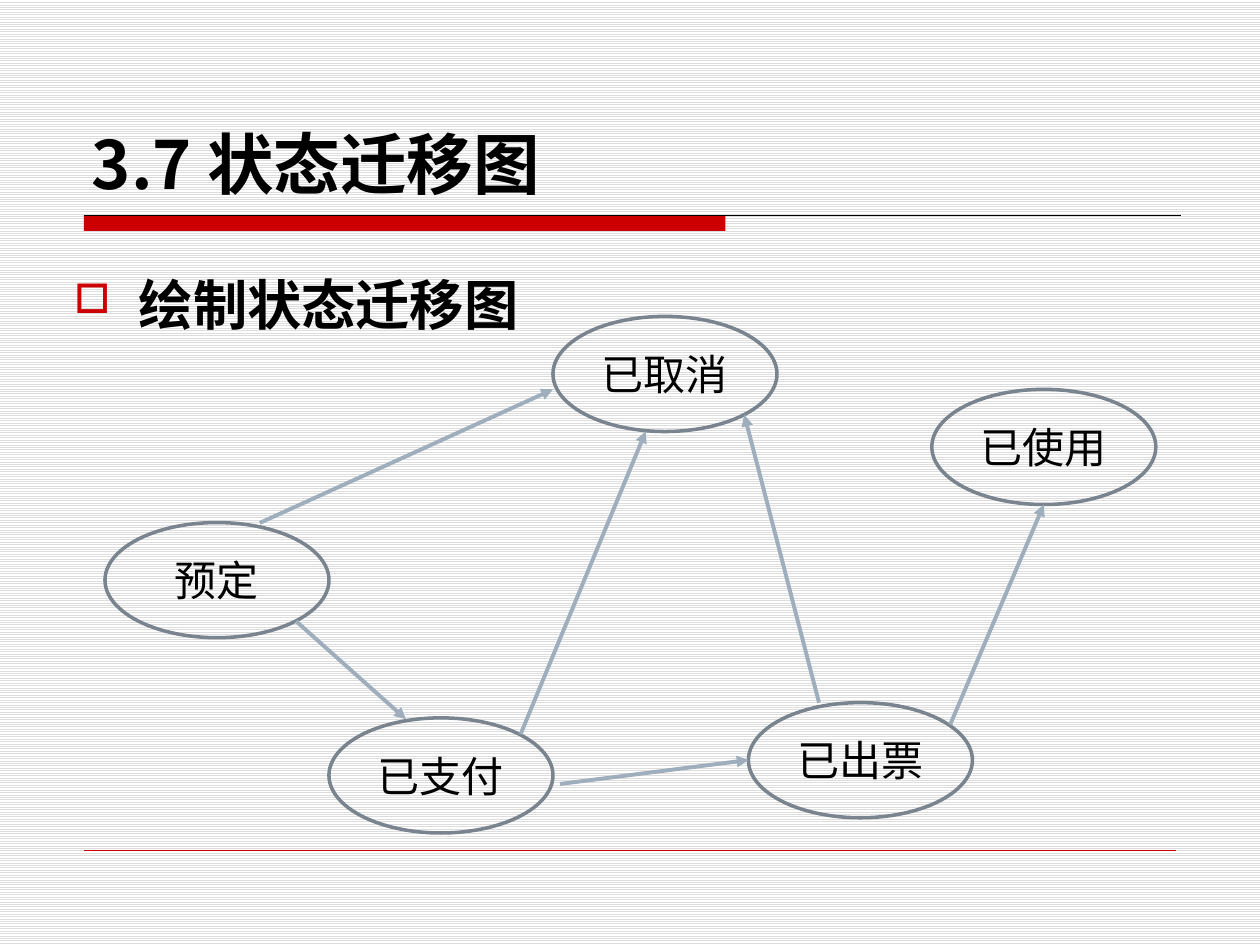
from lxml import etree
from pptx import Presentation
from pptx.dml.color import RGBColor
from pptx.enum.dml import MSO_PATTERN as Pattern
from pptx.enum.shapes import MSO_CONNECTOR as Conn, MSO_SHAPE as Kind
from pptx.enum.text import MSO_ANCHOR as Anchor, PP_ALIGN as Align
from pptx.oxml.ns import qn
from pptx.util import Pt

BLACK = RGBColor(0, 0, 0)
WHITE = RGBColor(255, 255, 255)
PALE = RGBColor(0xDD, 0xDD, 0xDD)
RED = RGBColor(0xCC, 0, 0)
GREY = RGBColor(0x79, 0x84, 0x8F)
BLUE = RGBColor(0x9F, 0xAE, 0xBD)
SANS = "DejaVu Sans"
NOTO = "Noto Sans CJK SC"


def write(shape, text, size, font=SANS, bold=False, align=Align.LEFT,
          anchor=Anchor.BOTTOM, bullet=None):
    frame = shape.text_frame
    frame.word_wrap = True
    frame.vertical_anchor = anchor
    para = frame.paragraphs[0]
    para.alignment = align
    if bullet:
        props = para._p.get_or_add_pPr()
        props.set("marL", str(Pt(37)))
        props.set("indent", str(-Pt(37)))
        tint = etree.SubElement(props, qn("a:buClr"))
        etree.SubElement(tint, qn("a:srgbClr")).set("val", str(RED))
        etree.SubElement(props, qn("a:buSzPct")).set("val", "75000")
        etree.SubElement(props, qn("a:buFont")).set("typeface", "Wingdings")
        etree.SubElement(props, qn("a:buChar")).set("char", bullet)
    run = para.add_run()
    run.text = text
    run.font.size = Pt(size)
    run.font.name = font
    run.font.bold = bold
    run.font.color.rgb = BLACK
    east = etree.SubElement(run._r.get_or_add_rPr(), qn("a:ea"))
    east.set("typeface", font)
    return run


def link(x1, y1, x2, y2, color, width, arrow=False):
    line = slide.shapes.add_connector(
        Conn.STRAIGHT, Pt(x1), Pt(y1), Pt(x2), Pt(y2))
    line.line.color.rgb = color
    line.line.width = Pt(width)
    if arrow:
        tail = etree.SubElement(line.line._get_or_add_ln(), qn("a:tailEnd"))
        tail.set("type", "triangle")
    etree.SubElement(line._element.spPr, qn("a:effectLst"))


deck = Presentation()
deck.slide_width, deck.slide_height = Pt(720), Pt(540)
slide = deck.slides.add_slide(deck.slide_layouts[6])

# Striped background
back = slide.background.fill
back.patterned()
back.pattern = Pattern.LIGHT_HORIZONTAL
back.fore_color.rgb = PALE
back.back_color.rgb = WHITE

# Title rule and footer rule
bar = slide.shapes.add_shape(Kind.RECTANGLE, Pt(48), Pt(123), Pt(366.5), Pt(9))
bar.shadow.inherit = False
bar.fill.solid()
bar.fill.fore_color.rgb = RED
bar.line.fill.background()
link(48, 123, 674.6, 123, BLACK, 0.75)
link(48, 486, 672, 486, RED, 0.25)

# Heading of the drawing
box = slide.shapes.add_textbox(Pt(35.3), Pt(136.8), Pt(278), Pt(59))
write(box, "绘制状态迁移图", 31, bold=True, bullet="o")

# States
states = [
    ("已支付", 188, 410.2),
    ("预定", 60, 298.6),
    ("已取消", 316, 180.8),
    ("已出票", 427.7, 401.5),
    ("已使用", 532.5, 222.5),
]
for name, x, y in states:
    oval = slide.shapes.add_shape(Kind.OVAL, Pt(x), Pt(y), Pt(128), Pt(65.8))
    oval.shadow.inherit = False
    oval.fill.background()
    oval.line.color.rgb = GREY
    oval.line.width = Pt(2)
    write(oval, name, 24, align=Align.CENTER, anchor=Anchor.MIDDLE)

# Transitions
moves = [
    (169.2, 355, 232, 411),
    (148.5, 298.8, 316, 222.5),
    (297.5, 419.5, 369, 246.5),
    (468, 401.5, 425.3, 237),
    (320, 448, 427.7, 434.3),
    (543, 414, 596.5, 288.3),
]
for move in moves:
    link(*move, BLUE, 2.25, arrow=True)

# Slide title
box = slide.shapes.add_textbox(Pt(45.4), Pt(23.8), Pt(630), Pt(95.7))
write(box, "3.7 状态迁移图", 38, font=NOTO, bold=True)

deck.save("out.pptx")
